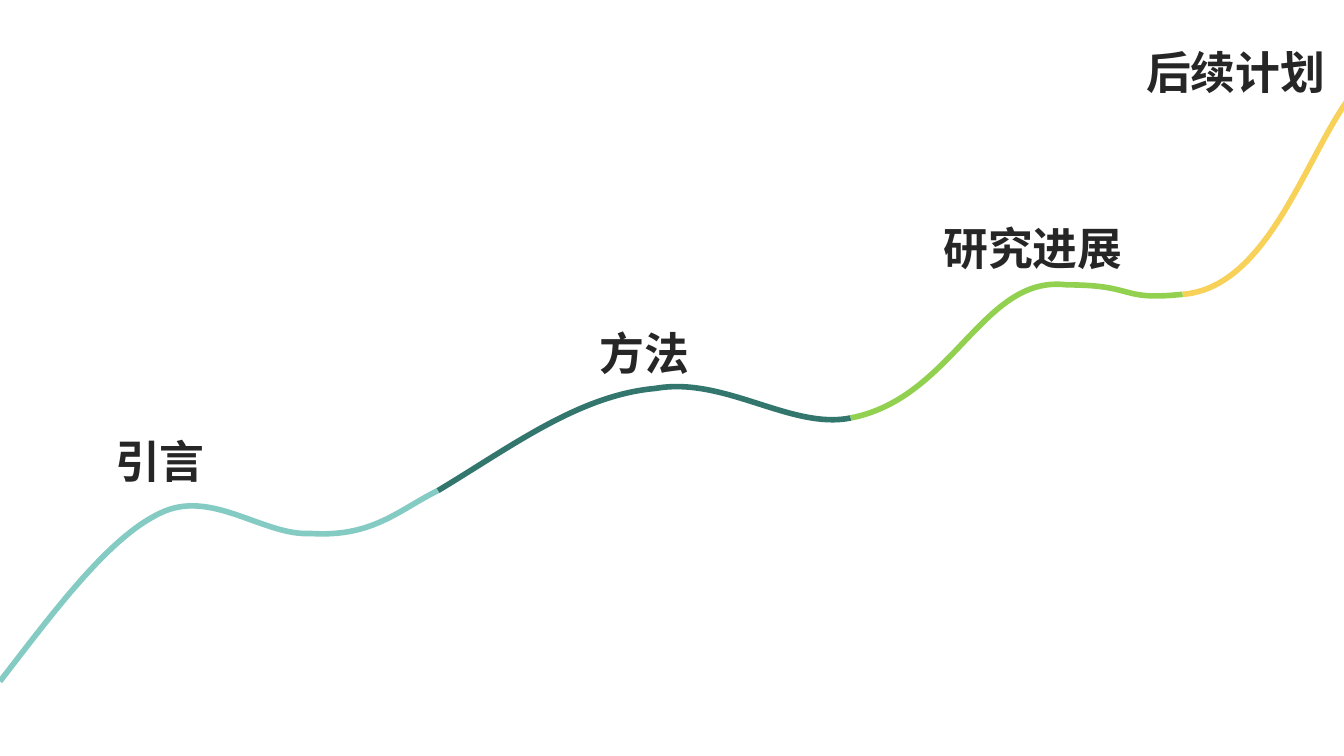
from lxml import etree
from pptx import Presentation, util as u
from pptx.dml.color import RGBColor
from pptx.enum import shapes, text
from pptx.oxml.ns import qn

HUES = {"ink": "262626", "mint": "84CBC3", "teal": "32766E",
        "green": "92D050", "gold": "F8D158"}

deck = Presentation()
deck.slide_width = u.Inches(10)
deck.slide_height = deck.slide_width * 9 // 16
slide = deck.slides.add_slide(deck.slide_layouts[6])
unit = deck.slide_width / 10  # one of ten columns; rows have the same size


def scale(*vals):
    return [round(v * unit) for v in vals]


def bend(shape):
    """Turn each three straight segments into one Bezier curve."""
    track = shape._element.find(".//" + qn("a:path"))
    lines = track.findall(qn("a:lnTo"))
    for i in range(0, len(lines), 3):
        curve = etree.SubElement(track, qn("a:cubicBezTo"))
        for line in lines[i:i + 3]:
            curve.append(line[0])
            track.remove(line)


# Stage labels: words, left, top, width, wrap
labels = [
    ("研究进展", 6.89, 1.56, 1.59, False),
    ("方法", 4.33, 2.34, 0.93, False),
    ("引言", 0.35, 3.15, 1.68, True),
    ("后续计划", 8.4, 0.25, 1.59, False),
]
style = {"name": "Roboto Condensed", "size": u.Pt(24), "bold": True}
for words, left, top, wide, wrap in labels:
    box = slide.shapes.add_shape(shapes.MSO_SHAPE.ROUNDED_RECTANGLE,
                                 *scale(left, top, wide, 0.56))
    box.shadow.inherit = False
    box.fill.background()
    box.line.fill.background()
    frame = box.text_frame
    frame.word_wrap = wrap
    frame.auto_size = text.MSO_AUTO_SIZE.SHAPE_TO_FIT_TEXT
    para = frame.paragraphs[0]
    para.alignment = text.PP_ALIGN.CENTER
    run = para.add_run()
    run.text = words
    for key, val in style.items():
        setattr(run.font, key, val)
    run.font.color.rgb = RGBColor.from_string(HUES["ink"])

# Rising path: each stage starts where the one before it ends
stages = {
    "mint": [(0.41, 4.54), (0.81, 4), (1.19, 3.82),
             (1.57, 3.63), (1.96, 3.99), (2.31, 3.97),
             (2.77, 4), (2.96, 3.8), (3.26, 3.65)],
    "teal": [(3.81, 3.32), (4.31, 2.94), (4.88, 2.89),
             (5.39, 2.8), (5.89, 3.2), (6.33, 3.11)],
    "green": [(7.1, 2.96), (7.31, 2.04), (7.94, 2.12),
              (8.46, 2.12), (8.32, 2.24), (8.8, 2.19)],
    "gold": [(9.66, 2.12), (9.86, 0.37), (10.45, 0.49)],
}
start = (0, 5.07)
for hue, points in stages.items():
    pen = slide.shapes.build_freeform(*scale(*start))
    pen.add_line_segments([scale(*p) for p in points], close=False)
    wave = pen.convert_to_shape()
    bend(wave)
    wave.shadow.inherit = False
    wave.fill.background()
    wave.line.width = u.Pt(3)
    wave.line.color.rgb = RGBColor.from_string(HUES[hue])
    start = points[-1]

deck.save("out.pptx")
